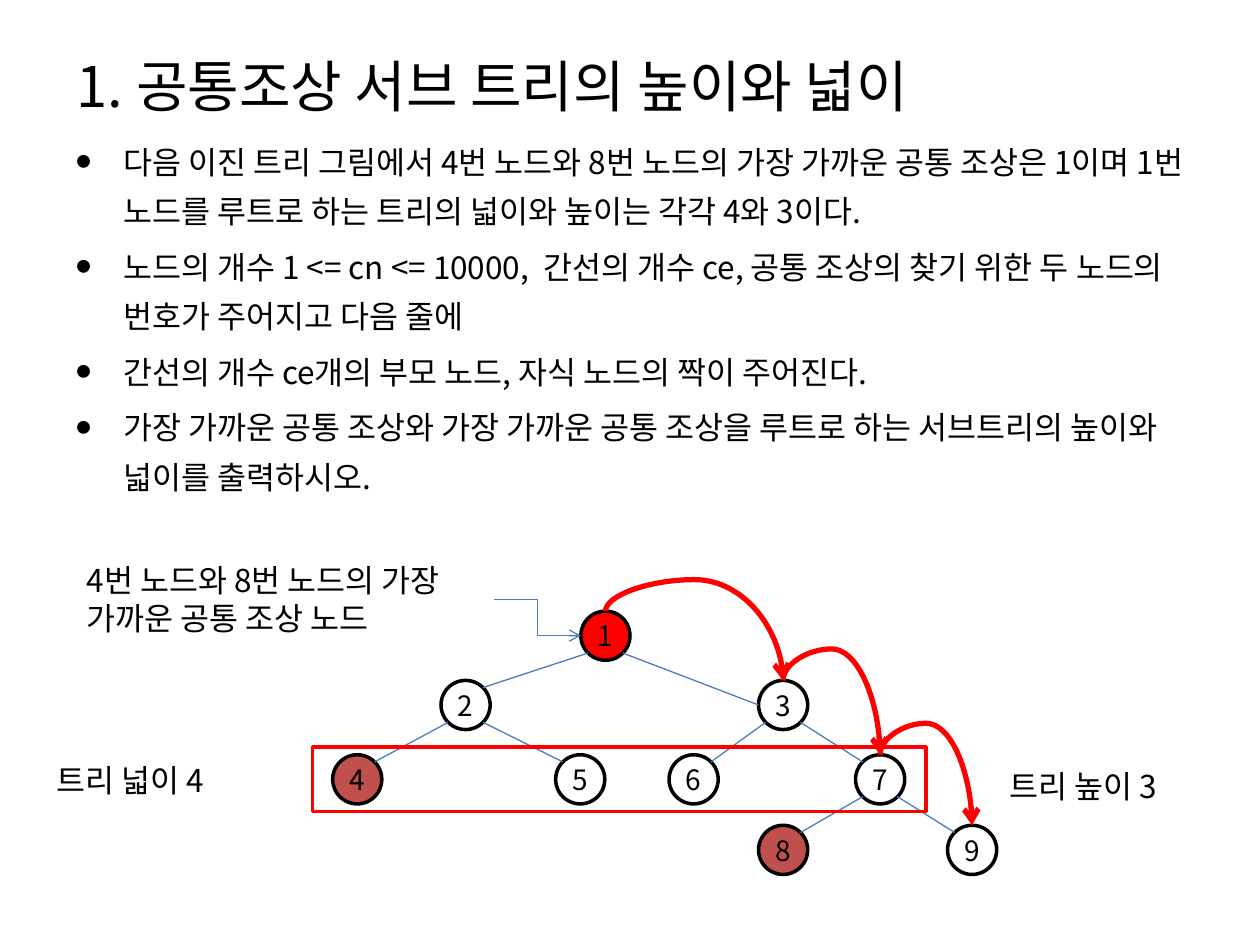
from dataclasses import dataclass
from math import sqrt

from lxml.etree import SubElement
from pptx import Presentation
from pptx.dml.color import RGBColor
from pptx.enum.shapes import MSO_CONNECTOR, MSO_SHAPE
from pptx.enum.text import MSO_ANCHOR, PP_ALIGN
from pptx.oxml.ns import qn
from pptx.util import Inches, Pt


@dataclass(frozen=True)
class Theme:
    font: str = "Noto Sans CJK KR"
    ink: str = "000000"
    edge: str = "4B7EBC"
    accent: str = "FF0000"
    chosen: str = "C0504D"
    title_size: int = 32
    text_size: int = 18
    node_size: int = 16
    bullet_pitch: float = 28.2
    caption_pitch: float = 21.7
    bullet_gap: float = 3.6


THEME = Theme()
TITLE = "1. 공통조상 서브 트리의 높이와 넓이"
BULLETS = [
    "다음 이진 트리 그림에서 4번 노드와 8번 노드의 가장 가까운 공통 조상은 1이며 1번 노드를 루트로 하는 트리의 넓이와 높이는 각각 4와 3이다.",
    "노드의 개수 1 <= cn <= 10000,  간선의 개수 ce, 공통 조상의 찾기 위한 두 노드의 번호가 주어지고 다음 줄에",
    "간선의 개수 ce개의 부모 노드, 자식 노드의 짝이 주어진다.",
    "가장 가까운 공통 조상와 가장 가까운 공통 조상을 루트로 하는 서브트리의 높이와 넓이를 출력하시오.",
]
CAPTIONS = [
    ("트리 높이 3", (7.91, 6.04, 1.81, 0.4)),
    ("트리 넓이 4", (0.35, 5.99, 1.81, 0.4)),
    ("4번 노드와 8번 노드의 가장 가까운 공통 조상 노드", (0.59, 4.4, 3.33, 0.71)),
]
LEVEL_TOPS = [4.85, 5.4, 5.99, 6.55]
NODES = {
    1: (4.61, 0), 2: (3.5, 1), 3: (6.02, 1), 4: (2.64, 2), 5: (4.41, 2),
    6: (5.31, 2), 7: (6.79, 2), 8: (6.02, 3), 9: (7.52, 3),
}
NODE_FILLS = {1: THEME.accent, 4: THEME.chosen, 8: THEME.chosen}
EDGES = [(1, 2), (1, 3), (2, 4), (2, 5), (3, 6), (3, 7), (7, 8), (7, 9)]
SIDE_ENTRIES = {(1, 3)}
HEIGHT_PATH = [(3, 7), (7, 9), (1, 3)]
WIDTH_FRAME = (2.48, 5.93, 4.87, 0.51)
POINTER_START = (3.92, 4.76)
DIAMETER = 0.39
ARC_RISE = 0.25


def colour(code):
    return RGBColor.from_string(code)


def set_font(para, size):
    font = para.font
    font.name, font.size, font.bold = THEME.font, Pt(size), False
    font.color.rgb = colour(THEME.ink)
    east_asian = SubElement(font._element, qn("a:ea"))
    east_asian.set("typeface", THEME.font)


def add_text(page, place):
    box = page.shapes.add_textbox(*map(Inches, place))
    box.text_frame.word_wrap = True
    return box.text_frame


def add_outline(page, kind, place, line, fill=None):
    shape = page.shapes.add_shape(kind, *map(Inches, place))
    shape.shadow.inherit = False
    if fill:
        shape.fill.solid()
        shape.fill.fore_color.rgb = colour(fill)
    else:
        shape.fill.background()
    shape.line.color.rgb = colour(line)
    shape.line.width = Pt(2)
    return shape


def add_line(page, kind, start, end, line, width, arrow=False):
    link = page.shapes.add_connector(kind, *map(Inches, (*start, *end)))
    link.line.color.rgb = colour(line)
    link.line.width = Pt(width)
    if arrow:
        SubElement(link.line._get_or_add_ln(), qn("a:tailEnd")).set("type", "arrow")
    SubElement(link._element.spPr, qn("a:effectLst"))
    return link


def node_site(number, across, down):
    left, level = NODES[number]
    radius = DIAMETER / 2
    reach = radius / sqrt(2) if across and down else radius
    return left + radius + across * reach, LEVEL_TOPS[level] + radius + down * reach


def add_edge(page, parent, child):
    side = 1 if NODES[child][0] > NODES[parent][0] else -1
    rise = 0 if (parent, child) in SIDE_ENTRIES else -1
    add_line(page, MSO_CONNECTOR.STRAIGHT, node_site(parent, side, 1),
             node_site(child, -side, rise), THEME.edge, 0.75)


def add_arc(page, parent, child):
    start, end = node_site(parent, 0, -1), node_site(child, 0, -1)
    run, drop = end[0] - start[0], end[1] - start[1]
    arc = add_line(page, MSO_CONNECTOR.CURVE, start, end, THEME.accent, 3, arrow=True)
    arc.left = Inches((start[0] + end[0] - drop) / 2)
    arc.top = Inches((start[1] + end[1] - run) / 2)
    arc.width, arc.height = Inches(drop), Inches(run)
    frame = arc._element.spPr.find(qn("a:xfrm"))
    frame.set("rot", str(270 * 60000))
    frame.set("flipH", "1")
    guide = SubElement(arc._element.spPr.find(qn("a:prstGeom")).find(qn("a:avLst")), qn("a:gd"))
    guide.set("name", "adj1")
    guide.set("fmla", f"val {round(-ARC_RISE / drop * 100000)}")


def add_title(page):
    title = page.shapes.title
    title.left, title.top, title.width, title.height = map(Inches, (0.51, 0.3, 9.55, 0.87))
    frame = title.text_frame
    frame.text = TITLE
    frame.vertical_anchor = MSO_ANCHOR.TOP
    frame.margin_top = Inches(0.11)
    para = frame.paragraphs[0]
    para.alignment = PP_ALIGN.LEFT
    para.line_spacing = Pt(THEME.title_size * 1.2)
    set_font(para, THEME.title_size)


def add_bullets(page):
    frame = add_text(page, (0.5, 0.99, 9, 3.15))
    frame.text = "\n".join(BULLETS)
    for para in frame.paragraphs:
        para.line_spacing = Pt(THEME.bullet_pitch)
        para.space_before = Pt(THEME.bullet_gap)
        set_font(para, THEME.text_size)
        properties = para._p.get_or_add_pPr()
        properties.set("marL", str(Inches(0.38)))
        properties.set("indent", str(-Inches(0.38)))
        size = properties.makeelement(qn("a:buSzPct"), {"val": "150000"})
        face = properties.makeelement(qn("a:buFont"), {"typeface": "Arial"})
        mark = properties.makeelement(qn("a:buChar"), {"char": "•"})
        for item in (size, face, mark):
            properties.find(qn("a:defRPr")).addprevious(item)


def add_node(page, number):
    left, level = NODES[number]
    place = (left, LEVEL_TOPS[level], DIAMETER, DIAMETER)
    node = add_outline(page, MSO_SHAPE.OVAL, place, THEME.ink, NODE_FILLS.get(number))
    frame = node.text_frame
    frame.text = str(number)
    frame.word_wrap = False
    frame.vertical_anchor = MSO_ANCHOR.MIDDLE
    frame.paragraphs[0].alignment = PP_ALIGN.CENTER
    set_font(frame.paragraphs[0], THEME.node_size)


def main():
    deck = Presentation()
    deck.slide_width, deck.slide_height = Inches(10), Inches(7.5)
    page = deck.slides.add_slide(deck.slide_layouts[5])
    add_title(page)
    add_bullets(page)
    for number in NODES:
        add_node(page, number)
    for parent, child in EDGES:
        add_edge(page, parent, child)
    for parent, child in HEIGHT_PATH:
        add_arc(page, parent, child)
    add_outline(page, MSO_SHAPE.RECTANGLE, WIDTH_FRAME, THEME.accent)
    for words, place in CAPTIONS:
        frame = add_text(page, place)
        frame.text = words
        frame.paragraphs[0].line_spacing = Pt(THEME.caption_pitch)
        set_font(frame.paragraphs[0], THEME.text_size)
    add_line(page, MSO_CONNECTOR.ELBOW, POINTER_START, node_site(1, -1, 0),
             THEME.edge, 0.75, arrow=True)
    deck.save("out.pptx")


if __name__ == "__main__":
    main()
